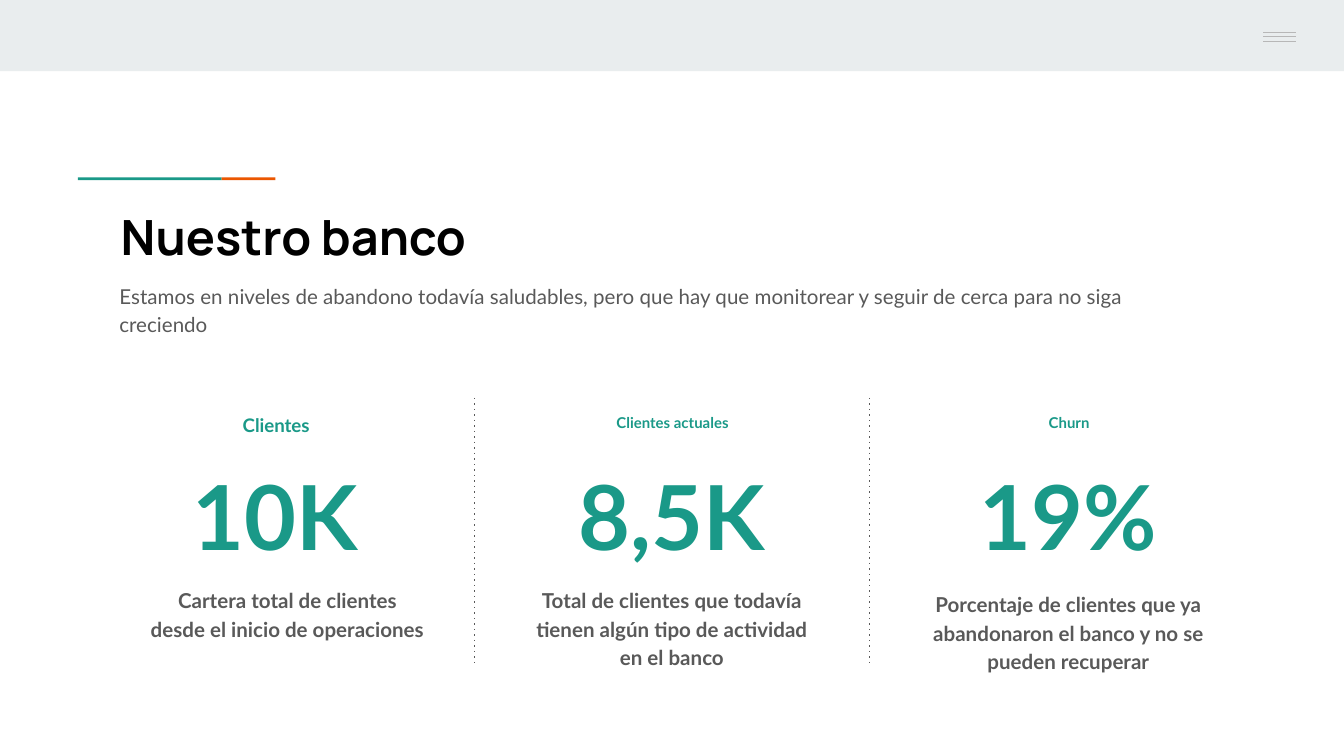
"""Build the bank overview slide with three key figures."""
import pptx
import pptx.dml.color
import pptx.enum.shapes
import pptx.enum.text
import pptx.oxml.ns
import pptx.util

Inches = pptx.util.Inches
RGB = pptx.dml.color.RGBColor
Align = pptx.enum.text.PP_ALIGN
Anchor = pptx.enum.text.MSO_ANCHOR

BLACK = RGB(0x00, 0x00, 0x00)
GRAY = RGB(0x59, 0x59, 0x59)
SILVER = RGB(0xB7, 0xB7, 0xB7)
MIST = RGB(0xE9, 0xED, 0xEE)
TEAL = RGB(0x1A, 0x99, 0x88)
ORANGE = RGB(0xEB, 0x56, 0x00)


class Painter:
    font = "Lato"
    weight = pptx.util.Pt(0.75)

    def __init__(self, slide):
        self.shapes = slide.shapes

    def rect(self, x, y, w, h, color):
        kind = pptx.enum.shapes.MSO_SHAPE.RECTANGLE
        shape = self.shapes.add_shape(kind, Inches(x), Inches(y), Inches(w), Inches(h))
        shape.shadow.inherit = False
        shape.fill.solid()
        shape.fill.fore_color.rgb = color
        shape.line.fill.background()

    def line(self, x1, y1, x2, y2, color, dash=None):
        kind = pptx.enum.shapes.MSO_CONNECTOR.STRAIGHT
        line = self.shapes.add_connector(kind, Inches(x1), Inches(y1), Inches(x2), Inches(y2))
        line.line.color.rgb = color
        line.line.width = self.weight
        props = line._element.spPr
        if dash:
            stroke = props.find(pptx.oxml.ns.qn("a:ln"))
            stroke.append(stroke.makeelement(pptx.oxml.ns.qn("a:prstDash"), {"val": dash}))
        props.append(props.makeelement(pptx.oxml.ns.qn("a:effectLst"), {}))

    def text(self, x, y, w, h, words, size, color, bold=True, font=None,
             align=Align.CENTER, anchor=Anchor.TOP, space=1.15):
        box = self.shapes.add_textbox(Inches(x), Inches(y), Inches(w), Inches(h))
        frame = box.text_frame
        frame.word_wrap = True
        frame.vertical_anchor = anchor
        frame.margin_left = frame.margin_right = Inches(0.1)
        frame.margin_top = frame.margin_bottom = Inches(0.1)
        par = frame.paragraphs[0]
        par.text = words
        par.alignment = align
        par.line_spacing = space
        par.font.name = font or self.font
        par.font.size = pptx.util.Pt(size)
        par.font.bold = bold
        par.font.color.rgb = color


def main():
    deck = pptx.Presentation()
    deck.slide_width = Inches(10)
    deck.slide_height = Inches(10 * 9 / 16)
    pen = Painter(deck.slides.add_slide(deck.slide_layouts[6]))

    pen.rect(0, 0, 10, 0.53, MIST)
    for y in (0.24, 0.27, 0.31):
        pen.line(9.4, y, 9.64, y, SILVER)
    pen.rect(0.58, 1.32, 1.07, 0.02, TEAL)
    pen.rect(1.65, 1.32, 0.4, 0.02, ORANGE)

    pen.text(0.8, 1.44, 3.06, 1.13, "Nuestro banco", 26, BLACK,
             font="Manrope", align=Align.LEFT, space=1.0)
    pen.text(0.79, 1.95, 8.33, 0.69,
             "Estamos en niveles de abandono todavía saludables, pero que hay que "
             "monitorear y seguir de cerca para no siga creciendo",
             11, GRAY, bold=False, align=Align.LEFT, anchor=Anchor.MIDDLE)

    stats = (
        ("Clientes", 10, 2.96, "10K", 1.01, 4.25,
         "Cartera total de clientes desde el inicio de operaciones"),
        ("Clientes actuales", 8, 2.98, "8,5K", 3.87, 4.25,
         "Total de clientes que todavía tienen algún tipo de actividad en el banco"),
        ("Churn", 8, 2.98, "19%", 6.82, 4.28,
         "Porcentaje de clientes que ya abandonaron el banco y no se pueden recuperar"),
    )
    for col, (label, size, top, value, x, y, note) in enumerate(stats):
        mid = 2.05 + 2.95 * col
        pen.text(mid - 0.96, top, 1.93, 0.25, label, size, TEAL)
        pen.text(mid - 1.26, 3.21, 2.52, 1.04, value, 48, TEAL)
        pen.text(x, y, 2.26, 0.81, note, 11, GRAY)
    for x in (3.53, 6.47):
        pen.line(x, 2.96, x, 4.96, GRAY, "dot")

    deck.save("out.pptx")


if __name__ == "__main__":
    main()
